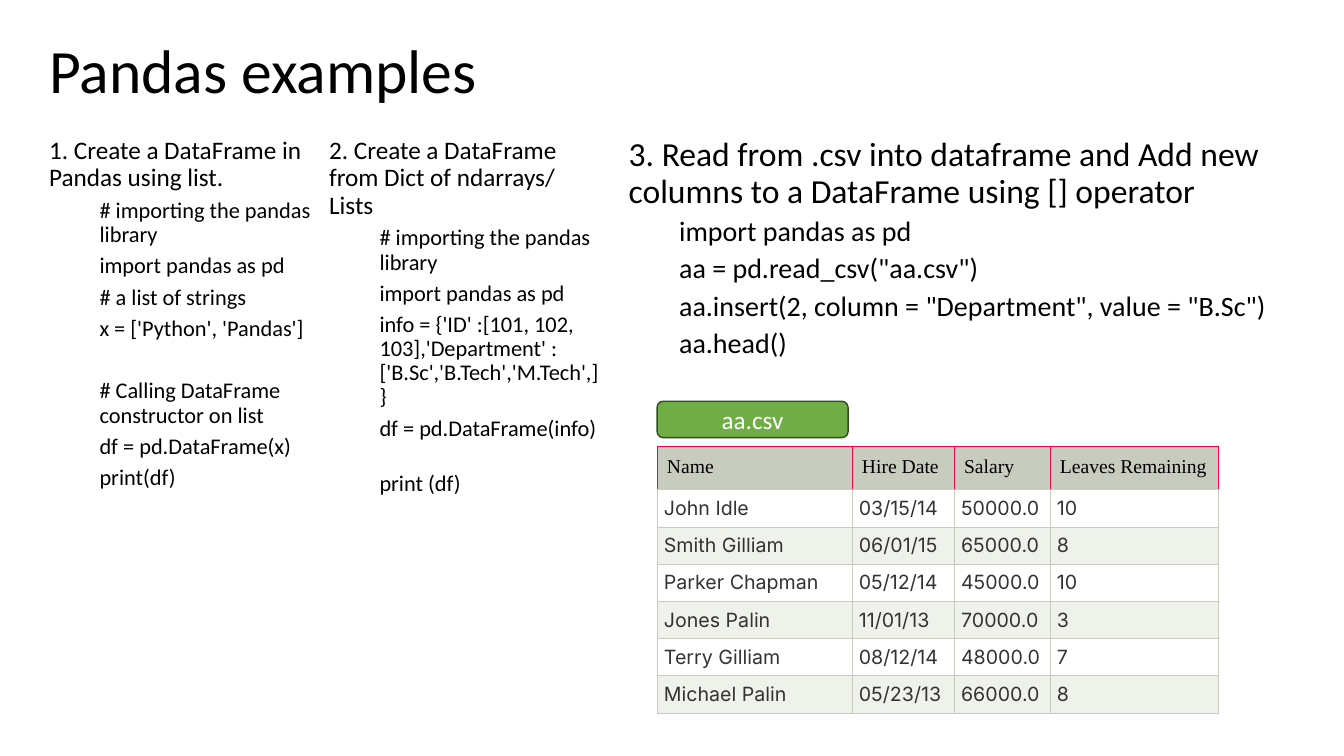
from lxml import etree
from pptx import Presentation
from pptx.dml.color import RGBColor
from pptx.enum.shapes import MSO_SHAPE
from pptx.enum.text import MSO_ANCHOR, PP_ALIGN
from pptx.oxml.ns import qn
from pptx.util import Pt

ROUNDED = MSO_SHAPE.ROUNDED_RECTANGLE
TOP, MIDDLE = MSO_ANCHOR.TOP, MSO_ANCHOR.MIDDLE
LEFT, CENTER, JUSTIFY = PP_ALIGN.LEFT, PP_ALIGN.CENTER, PP_ALIGN.JUSTIFY

BLACK = RGBColor(0x00, 0x00, 0x00)
WHITE = RGBColor(0xFF, 0xFF, 0xFF)
GREEN = RGBColor(0x70, 0xAD, 0x47)
DARK_GREEN = RGBColor(0x31, 0x4C, 0x1F)
SAGE = RGBColor(0xC7, 0xCC, 0xBE)
PALE_SAGE = RGBColor(0xEF, 0xF1, 0xEB)
RED = RGBColor(0xF0, 0x04, 0x43)
DARK_GRAY = RGBColor(0x33, 0x33, 0x33)


class SlideBuilder:
    font = "Calibri"
    header_font = "Times New Roman"
    cell_font = "Inter"
    cell_size = 14
    line_spacing = 0.9
    code_indent = 36

    def __init__(self, slide):
        self.s = slide

    def style(self, p, size, color=BLACK, font=None, align=LEFT):
        p.alignment = align
        for r in p.runs:
            r.font.size = Pt(size)
            r.font.name = font or self.font
            r.font.color.rgb = color

    def textbox(self, x, y, w, h, anchor=TOP):
        tf = self.s.shapes.add_textbox(Pt(x), Pt(y), Pt(w), Pt(h)).text_frame
        tf.word_wrap = True
        tf.vertical_anchor = anchor
        return tf

    def title(self, x, y, w, h, text):
        p = self.textbox(x, y, w, h, MIDDLE).paragraphs[0]
        p.text = text
        p.line_spacing = self.line_spacing
        self.style(p, 44)

    def example(self, x, y, w, h, heading, code, sizes, gaps=None):
        """Heading with indented code; gaps maps a line to its extra space before."""
        heading_size, code_size = sizes
        tf = self.textbox(x, y, w, h)
        tf.text = "\n".join([heading] + code)
        for i, p in enumerate(tf.paragraphs):
            p.line_spacing = self.line_spacing
            p.space_before = Pt(5 + (gaps or {}).get(p.text, 0) if i else 10)
            self.style(p, code_size if i else heading_size)
            if i:
                p.level = 1
                p._p.get_or_add_pPr().set("marL", str(Pt(self.code_indent)))

    def label(self, x, y, w, h, text):
        sp = self.s.shapes.add_shape(ROUNDED, Pt(x), Pt(y), Pt(w), Pt(h))
        sp.shadow.inherit = False
        sp.fill.solid()
        sp.fill.fore_color.rgb = GREEN
        sp.line.color.rgb = DARK_GREEN
        sp.line.width = Pt(1)
        tf = sp.text_frame
        tf.text = text
        tf.vertical_anchor = MIDDLE
        self.style(tf.paragraphs[0], 18, WHITE, align=CENTER)

    def borders(self, cell, side_color):
        tc_pr = cell._tc.get_or_add_tcPr()
        colors = {"L": side_color, "R": side_color, "T": side_color, "B": SAGE}
        for side, color in colors.items():
            ln = etree.SubElement(tc_pr, qn(f"a:ln{side}"), w=str(Pt(0.6)))
            fill = etree.SubElement(ln, qn("a:solidFill"))
            etree.SubElement(fill, qn("a:srgbClr"), val=str(color))

    def cell(self, cell, text, row):
        header = row == 0
        cell.text = text
        inset = Pt(7 if header else 4.8)
        cell.margin_left = cell.margin_right = inset
        cell.margin_top = cell.margin_bottom = inset
        self.borders(cell, RED if header else SAGE)
        cell.fill.solid()
        p = cell.text_frame.paragraphs[0]
        if header:
            cell.fill.fore_color.rgb = SAGE
            self.style(p, self.cell_size, BLACK, self.header_font)
        else:
            cell.fill.fore_color.rgb = WHITE if row % 2 else PALE_SAGE
            self.style(p, self.cell_size, DARK_GRAY, self.cell_font, JUSTIFY)

    def table(self, x, y, widths, header_height, row_height, rows):
        heights = [header_height] + [row_height] * (len(rows) - 1)
        frame = self.s.shapes.add_table(len(rows), len(widths), Pt(x), Pt(y),
                                        Pt(sum(widths)), Pt(sum(heights)))
        table = frame.table
        table.first_row = table.horz_banding = False
        for col, width in zip(table.columns, widths):
            col.width = Pt(width)
        for i, values in enumerate(rows):
            table.rows[i].height = Pt(heights[i])
            for j, text in enumerate(values):
                self.cell(table.cell(i, j), text, i)


def main():
    prs = Presentation()
    prs.slide_width, prs.slide_height = Pt(960), Pt(540)
    b = SlideBuilder(prs.slides.add_slide(prs.slide_layouts[6]))

    b.title(28, 21.6, 828, 62.6, "Pandas examples")

    # Code examples
    b.example(28, 95, 209, 261, "1. Create a DataFrame in Pandas using list.", [
        "# importing the pandas library",
        "import pandas as pd",
        "# a list of strings",
        "x = ['Python', 'Pandas']",
        "# Calling DataFrame constructor on list",
        "df = pd.DataFrame(x)",
        "print(df)",
    ], (18, 16), {"# Calling DataFrame constructor on list": 22.5})
    b.example(228, 95, 209, 343, "2. Create a DataFrame from Dict of ndarrays/ Lists", [
        "# importing the pandas library",
        "import pandas as pd",
        "info = {'ID' :[101, 102, 103],'Department' :['B.Sc','B.Tech','M.Tech',]}",
        "df = pd.DataFrame(info)",
        "print (df)",
    ], (18, 16), {"print (df)": 17.5})
    b.example(442, 95, 504, 180, "3. Read from .csv into dataframe and Add new columns "
              "to a DataFrame using [] operator", [
                  "import pandas as pd",
                  'aa = pd.read_csv("aa.csv")',
                  'aa.insert(2, column = "Department", value = "B.Sc")',
                  "aa.head()",
              ], (24, 20))

    # Contents of the file
    b.table(469.4, 319, [139.3, 73, 68.5, 120], 30, 26.6, [
        ("Name", "Hire Date", "Salary", "Leaves Remaining"),
        ("John Idle", "03/15/14", "50000.0", "10"),
        ("Smith Gilliam", "06/01/15", "65000.0", "8"),
        ("Parker Chapman", "05/12/14", "45000.0", "10"),
        ("Jones Palin", "11/01/13", "70000.0", "3"),
        ("Terry Gilliam", "08/12/14", "48000.0", "7"),
        ("Michael Palin", "05/23/13", "66000.0", "8"),
    ])
    b.label(469.4, 286.6, 136.4, 26, "aa.csv")

    prs.save("out.pptx")


if __name__ == "__main__":
    main()
